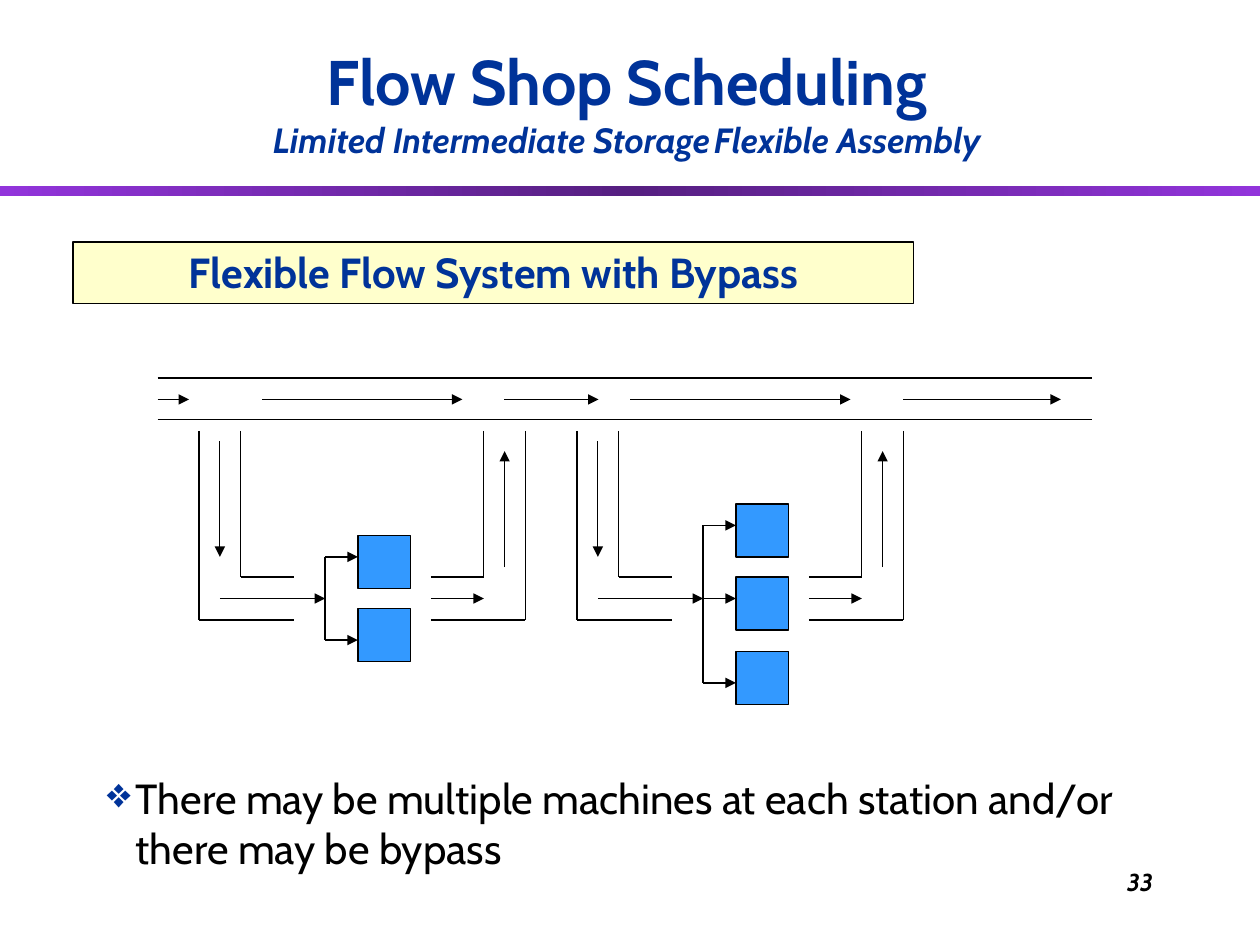
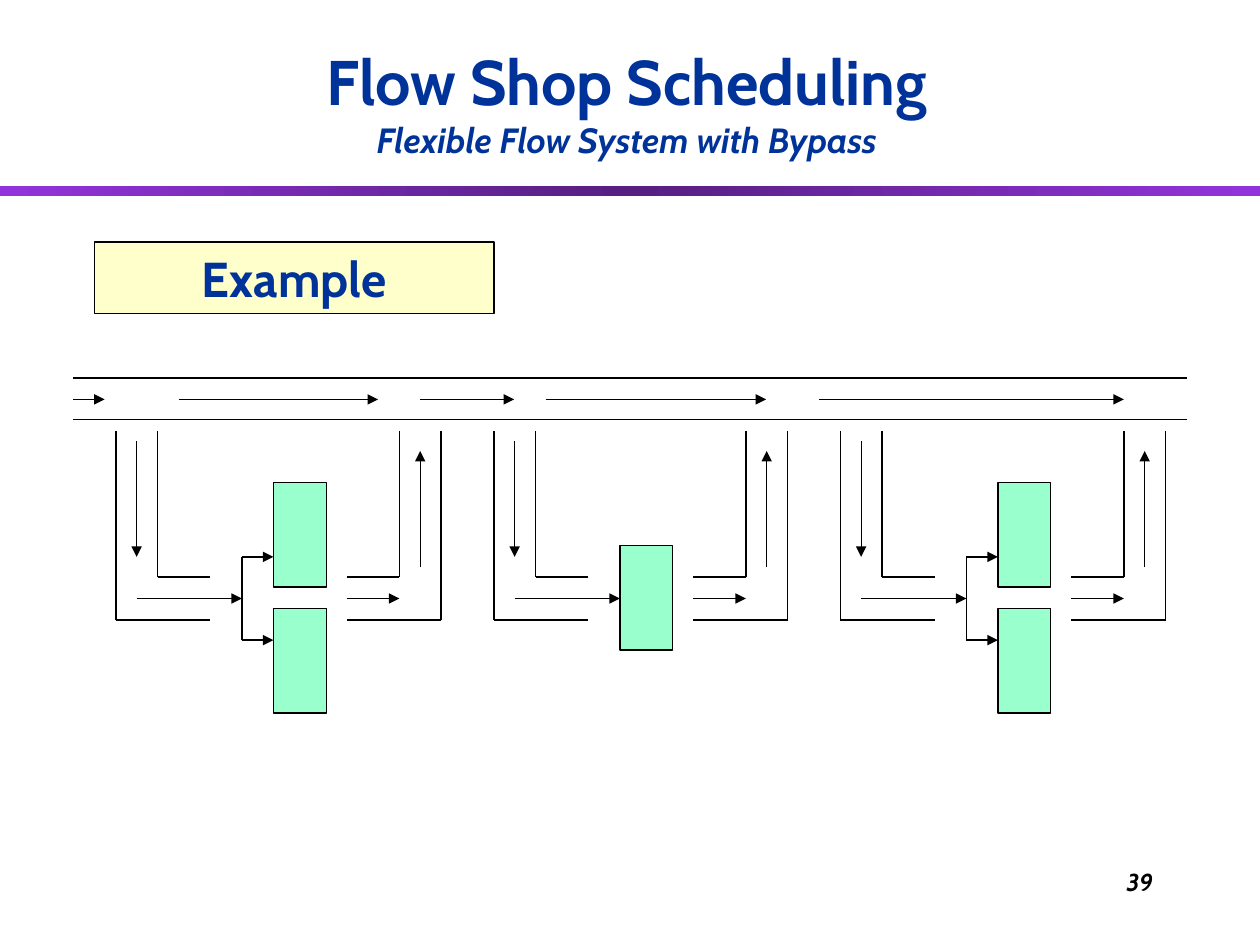
"""Build two flow shop scheduling slides with bypass line diagrams."""
from dataclasses import dataclass
from typing import NamedTuple, Optional

from lxml import etree
from pptx import Presentation
from pptx import util as u
from pptx.dml.color import RGBColor
from pptx.enum import shapes, text
from pptx.oxml.ns import qn


@dataclass(frozen=True)
class Theme:
    font: str = "Cabin"
    navy: str = "003399"
    black: str = "000000"
    cream: str = "FFFFCC"
    blue: str = "3399FF"
    mint: str = "99FFCC"
    band_stops: tuple = ((0, "9234DB"), (50, "561F81"), (100, "9234DB"))
    heading_size: int = 36
    subheading_size: int = 20
    body_size: int = 24
    number_size: int = 14
    line_width: float = 0.75


class Box(NamedTuple):
    left: float
    top: float
    width: float
    height: float


class Segment(NamedTuple):
    x1: float
    y1: float
    x2: float
    y2: float
    arrow: bool = False


class Machine(NamedTuple):
    top: float
    feed_y: float


@dataclass(frozen=True)
class Station:
    entry: float
    exit: float
    machines: tuple[Machine, ...]


@dataclass(frozen=True)
class FlowSlide:
    subheading: str
    topic: str
    topic_box: Box
    topic_size: int
    number: str
    line_start: float
    line_end: float
    line_arrows: tuple[tuple[float, float], ...]
    stations: tuple[Station, ...]
    machine_height: float
    machine_color: str
    remark: Optional[str] = None


THEME = Theme()
HEADING = "Flow Shop Scheduling"
HEADING_BOX = Box(0.17, 0.25, 9.61, 1.07)
BAND_BOX = Box(0, 1.48, 10, 0.08)
NUMBER_BOX = Box(7.17, 6.83, 2.08, 0.5)
REMARK_BOX = Box(0.75, 6.08, 8.5, 0.9)
REMARK_INDENT = 0.23

LINE_TOP, LINE_MIDDLE, LINE_BOTTOM = 3, 3.17, 3.33
DUCT_TOP, DUCT_INNER, DUCT_MIDDLE, DUCT_OUTER = 3.42, 4.58, 4.75, 4.92
DUCT_LENGTH, DUCT_WIDTH = 0.75, 0.33
FEED_LENGTH = 1
MACHINE_WIDTH = 0.42
MACHINE_TO_EXIT = 0.58

PAIR_FEEDS = (4.42, 5.08)
BLUE_PAIR = tuple(map(Machine, (4.25, 4.83), PAIR_FEEDS))
BLUE_TRIO = tuple(map(Machine, (4, 4.58, 5.17), (4.17, DUCT_MIDDLE, 5.42)))
MINT_PAIR = tuple(map(Machine, (3.83, 4.83), PAIR_FEEDS))
MINT_SINGLE = (Machine(4.33, DUCT_MIDDLE),)

SLIDES = (
    FlowSlide(
        subheading="Limited Intermediate Storage\tFlexible Assembly",
        topic="Flexible Flow System with Bypass",
        topic_box=Box(0.58, 1.92, 6.67, 0.49),
        topic_size=24,
        number="33",
        line_start=1.25,
        line_end=8.67,
        line_arrows=((1.25, 1.5), (2.08, 3.67), (4, 4.75), (5, 6.75), (7.17, 8.42)),
        stations=(Station(1.58, 3.42, BLUE_PAIR), Station(4.58, 6.42, BLUE_TRIO)),
        machine_height=0.42,
        machine_color=THEME.blue,
        remark="There may be multiple machines at each station and/or there may be bypass",
    ),
    FlowSlide(
        subheading="Flexible Flow System with Bypass",
        topic="Example",
        topic_box=Box(0.75, 1.92, 3.17, 0.57),
        topic_size=28,
        number="39",
        line_start=0.58,
        line_end=9.42,
        line_arrows=((0.58, 0.83), (1.42, 3), (3.33, 4.08), (4.33, 6.08), (6.5, 8.92)),
        stations=(
            Station(0.92, 2.75, MINT_PAIR),
            Station(3.92, 5.5, MINT_SINGLE),
            Station(6.67, 8.5, MINT_PAIR),
        ),
        machine_height=0.83,
        machine_color=THEME.mint,
    ),
)


def rgb(color: str) -> RGBColor:
    return RGBColor.from_string(color)


def style_font(font, size: int, color: str, bold: bool = False, italic: bool = False) -> None:
    font.name, font.size = THEME.font, u.Pt(size)
    font.bold, font.italic = bold, italic
    font.color.rgb = rgb(color)


def style_line(line) -> None:
    line.color.rgb = rgb(THEME.black)
    line.width = u.Pt(THEME.line_width)


def add_rectangle(slide, box: Box):
    rectangle = slide.shapes.add_shape(shapes.MSO_SHAPE.RECTANGLE, *map(u.Inches, box))
    rectangle.shadow.inherit = False
    return rectangle


def add_text(slide, box: Box, words: str):
    frame = slide.shapes.add_textbox(*map(u.Inches, box)).text_frame
    frame.word_wrap = True
    frame.text = words
    return frame


def add_segment(slide, segment: Segment) -> None:
    ends = map(u.Inches, segment[:4])
    connector = slide.shapes.add_connector(shapes.MSO_CONNECTOR.STRAIGHT, *ends)
    style_line(connector.line)
    properties = connector._element.spPr
    if segment.arrow:
        etree.SubElement(properties.find(qn("a:ln")), qn("a:tailEnd"), type="triangle")
    etree.SubElement(properties, qn("a:effectLst"))


def add_band(slide) -> None:
    band = add_rectangle(slide, BAND_BOX)
    band.line.fill.background()
    band.fill.gradient()
    band.fill.gradient_angle = 0
    stops = band._element.spPr.find(qn("a:gradFill")).find(qn("a:gsLst"))
    for stop in list(stops):
        stops.remove(stop)
    for percent, color in THEME.band_stops:
        stop = etree.SubElement(stops, qn("a:gs"), pos=str(percent * 1000))
        etree.SubElement(stop, qn("a:srgbClr"), val=color)


def add_heading(slide, subheading: str) -> None:
    frame = add_text(slide, HEADING_BOX, f"{HEADING}\v{subheading}")
    frame.vertical_anchor = text.MSO_ANCHOR.BOTTOM
    paragraph = frame.paragraphs[0]
    paragraph.alignment = text.PP_ALIGN.CENTER
    main, sub = paragraph.runs
    style_font(main.font, THEME.heading_size, THEME.navy, bold=True)
    style_font(sub.font, THEME.subheading_size, THEME.navy, bold=True, italic=True)


def add_number(slide, number: str) -> None:
    paragraph = add_text(slide, NUMBER_BOX, number).paragraphs[0]
    paragraph.alignment = text.PP_ALIGN.RIGHT
    style_font(paragraph.runs[0].font, THEME.number_size, THEME.black, bold=True, italic=True)


def format_topic(slide, content: FlowSlide) -> None:
    topic = slide.shapes.title
    topic.left, topic.top, topic.width, topic.height = map(u.Inches, content.topic_box)
    topic.fill.solid()
    topic.fill.fore_color.rgb = rgb(THEME.cream)
    style_line(topic.line)
    frame = topic.text_frame
    frame.text = content.topic
    frame.word_wrap = True
    frame.auto_size = text.MSO_AUTO_SIZE.NONE
    frame.vertical_anchor = text.MSO_ANCHOR.BOTTOM
    paragraph = frame.paragraphs[0]
    paragraph.alignment = text.PP_ALIGN.CENTER
    style_font(paragraph.runs[0].font, content.topic_size, THEME.navy, bold=True)


def add_remark(slide, remark: str) -> None:
    frame = add_text(slide, REMARK_BOX, remark)
    frame.auto_size = text.MSO_AUTO_SIZE.SHAPE_TO_FIT_TEXT
    paragraph = frame.paragraphs[0]
    properties = paragraph._p.get_or_add_pPr()
    indent = u.Inches(REMARK_INDENT)
    properties.set("marL", str(indent))
    properties.set("indent", str(-indent))
    bullet_color = etree.SubElement(properties, qn("a:buClr"))
    etree.SubElement(bullet_color, qn("a:srgbClr"), val=THEME.navy)
    etree.SubElement(properties, qn("a:buChar"), char="❖")
    style_font(paragraph.runs[0].font, THEME.body_size, THEME.black)


def duct_segments(station: Station) -> list[Segment]:
    """Return the walls and arrows of the ducts into and out of a station."""
    outer_in, inner_in = station.entry, station.entry + DUCT_WIDTH
    middle_in, end_in = station.entry + DUCT_WIDTH / 2, station.entry + DUCT_LENGTH
    start_out, outer_out = station.exit, station.exit + DUCT_LENGTH
    inner_out, middle_out = outer_out - DUCT_WIDTH, outer_out - DUCT_WIDTH / 2
    return [
        Segment(outer_in, DUCT_TOP, outer_in, DUCT_OUTER),
        Segment(inner_in, DUCT_TOP, inner_in, DUCT_INNER),
        Segment(outer_in, DUCT_OUTER, end_in, DUCT_OUTER),
        Segment(inner_in, DUCT_INNER, end_in, DUCT_INNER),
        Segment(middle_in, DUCT_MIDDLE, station.entry + FEED_LENGTH, DUCT_MIDDLE, True),
        Segment(middle_in, 3.5, middle_in, 4.42, True),
        Segment(inner_out, DUCT_TOP, inner_out, DUCT_INNER),
        Segment(outer_out, DUCT_TOP, outer_out, DUCT_OUTER),
        Segment(start_out, DUCT_OUTER, outer_out, DUCT_OUTER),
        Segment(start_out, DUCT_INNER, inner_out, DUCT_INNER),
        Segment(start_out, DUCT_MIDDLE, inner_out, DUCT_MIDDLE, True),
        Segment(middle_out, 4.5, middle_out, 3.58, True),
    ]


def branch_segments(station: Station) -> list[Segment]:
    """Return the lines that split the feed among several machines."""
    if len(station.machines) == 1:
        return []
    fork, machine_left = station.entry + FEED_LENGTH, station.exit - MACHINE_TO_EXIT
    feeds = [machine.feed_y for machine in station.machines]
    arrows = [Segment(fork, feed, machine_left, feed, True) for feed in feeds]
    return arrows + [Segment(fork, feeds[0], fork, feeds[-1])]


def add_station(slide, station: Station, height: float, color: str) -> None:
    for machine in station.machines:
        left = station.exit - MACHINE_TO_EXIT
        block = add_rectangle(slide, Box(left, machine.top, MACHINE_WIDTH, height))
        block.fill.solid()
        block.fill.fore_color.rgb = rgb(color)
        style_line(block.line)
    for segment in duct_segments(station) + branch_segments(station):
        add_segment(slide, segment)


def add_flow_slide(deck, content: FlowSlide) -> None:
    slide = deck.slides.add_slide(deck.slide_layouts[5])
    add_band(slide)
    add_number(slide, content.number)
    format_topic(slide, content)
    for y in (LINE_TOP, LINE_BOTTOM):
        add_segment(slide, Segment(content.line_start, y, content.line_end, y))
    for start, end in content.line_arrows:
        add_segment(slide, Segment(start, LINE_MIDDLE, end, LINE_MIDDLE, True))
    for station in content.stations:
        add_station(slide, station, content.machine_height, content.machine_color)
    add_heading(slide, content.subheading)
    if content.remark:
        add_remark(slide, content.remark)


def main() -> None:
    deck = Presentation()
    deck.slide_width, deck.slide_height = u.Inches(10), u.Inches(7.5)
    for content in SLIDES:
        add_flow_slide(deck, content)
    deck.save("out.pptx")


if __name__ == "__main__":
    main()
